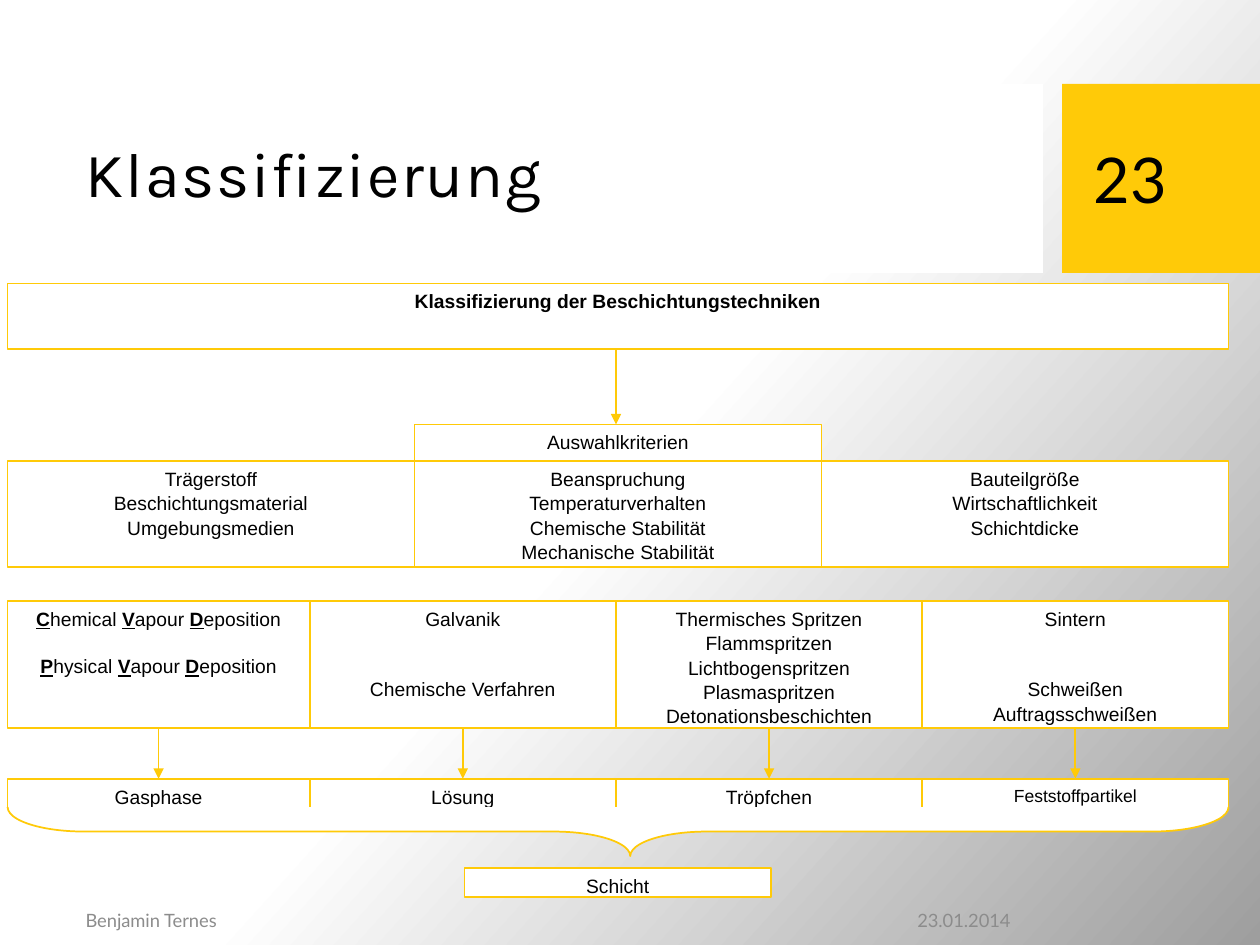
from lxml import etree
from pptx import Presentation
from pptx.dml.color import RGBColor
from pptx.enum import shapes, text
from pptx.oxml import ns
from pptx.util import Pt

YELLOW, WHITE, BLACK, GREY = "FFCA08", "FFFFFF", "000000", "8C8C8C"
LEFT, RIGHT = 4.3, 702
LINE_HEIGHT = 13.2

HEADING = "Klassifizierung der Beschichtungstechniken"
CRITERIA = [
    ["Trägerstoff", "Beschichtungsmaterial", "Umgebungsmedien"],
    ["Beanspruchung", "Temperaturverhalten", "Chemische Stabilität", "Mechanische Stabilität"],
    ["Bauteilgröße", "Wirtschaftlichkeit", "Schichtdicke"],
]
TECHNIQUES = [
    ["*C*hemical *V*apour *D*eposition", "", "*P*hysical *V*apour *D*eposition"],
    ["Galvanik", "", "", "Chemische Verfahren"],
    ["Thermisches Spritzen", "Flammspritzen", "Lichtbogenspritzen", "Plasmaspritzen",
     "Detonationsbeschichten"],
    ["Sintern", "", "", "Schweißen", "Auftragsschweißen"],
]
PHASES = [("Gasphase", 11), ("Lösung", 11), ("Tröpfchen", 11), ("Feststoffpartikel", 10)]
LABELS = [
    ("Benjamin Ternes", (41.8, 511.2, 380.9, 28.8), 10.5, GREY, text.PP_ALIGN.LEFT),
    ("23.01.2014", (422.6, 511.2, 162, 28.8), 10.5, GREY, text.PP_ALIGN.RIGHT),
    ("23", (617.8, 59, 91.4, 85.7), 36, BLACK, text.PP_ALIGN.LEFT),
]


def colour(value):
    """Turn a hex string into a colour."""
    return RGBColor.from_string(value)


def set_font(font, name, size, value):
    """Set typeface, size and colour."""
    font.name, font.size = name, Pt(size)
    font.color.rgb = colour(value)


def add_block(slide, kind, place, fill, line=None):
    """Add a filled shape, outlined if a line colour is given."""
    shape = slide.shapes.add_shape(kind, *map(Pt, place))
    shape.shadow.inherit = False
    shape.fill.solid()
    shape.fill.fore_color.rgb = colour(fill)
    if line:
        shape.line.color.rgb = colour(line)
        shape.line.width = Pt(1)
    else:
        shape.line.fill.background()
    return shape


def add_box(slide, place, lines, size=11, bold=False):
    """Add a box of centred lines; empty lines become space, starred parts are emphasised."""
    frame = add_block(slide, shapes.MSO_SHAPE.RECTANGLE, place, WHITE, YELLOW).text_frame
    frame.word_wrap = True
    frame.vertical_anchor = text.MSO_ANCHOR.TOP
    frame.margin_left = frame.margin_right = frame.margin_top = frame.margin_bottom = Pt(2.9)
    gap = 0
    for index, line in enumerate(lines):
        if not line:
            gap += LINE_HEIGHT
            continue
        paragraph = frame.add_paragraph() if index else frame.paragraphs[0]
        paragraph.alignment = text.PP_ALIGN.CENTER
        paragraph.line_spacing = 1.05
        if gap:
            paragraph.space_before = Pt(gap)
        gap = 0
        set_font(paragraph.font, "Arial", size, BLACK)
        paragraph.font.bold = bold
        for part_index, part in enumerate(line.split("*")):
            if part:
                run = paragraph.add_run()
                run.text = part
                if part_index % 2:
                    run.font.bold = run.font.underline = True


def add_arrow(slide, x, top, bottom):
    """Add a downward arrow."""
    arrow = slide.shapes.add_connector(
        shapes.MSO_CONNECTOR.STRAIGHT, Pt(x), Pt(top), Pt(x), Pt(bottom))
    arrow.line.color.rgb = colour(YELLOW)
    arrow.line.width = Pt(1)
    etree.SubElement(arrow.line._get_or_add_ln(), ns.qn("a:tailEnd"), type="triangle")
    etree.SubElement(arrow._element.spPr, ns.qn("a:effectLst"))


def add_background(slide):
    """Fill the background with a diagonal gradient."""
    fill = slide.background.fill
    fill.gradient()
    fill.gradient_angle = 318
    for stop, position, value in zip(fill.gradient_stops, (0.5, 1), (WHITE, "9E9E9E")):
        stop.position = position
        stop.color.rgb = colour(value)


def add_title(slide):
    """Place the title in front of its panel."""
    title = slide.shapes.title
    slide.shapes._spTree.append(title._element)
    title.left, title.top, title.width, title.height = map(Pt, (41.8, 59, 542.9, 85))
    title.text_frame.vertical_anchor = text.MSO_ANCHOR.MIDDLE
    paragraph = title.text_frame.paragraphs[0]
    paragraph.alignment = text.PP_ALIGN.LEFT
    paragraph.line_spacing = 0.9
    set_font(paragraph.font, "Karla", 36, BLACK)
    run = paragraph.add_run()
    run.text = "Klassifizierung"
    run._r.get_or_add_rPr().set("spc", "100")


def add_label(slide, label, place, size, value, alignment):
    """Add a one-line text box."""
    frame = slide.shapes.add_textbox(*map(Pt, place)).text_frame
    frame.word_wrap = True
    frame.vertical_anchor = text.MSO_ANCHOR.MIDDLE
    paragraph = frame.paragraphs[0]
    paragraph.text = label
    paragraph.alignment = alignment
    set_font(paragraph.font, "Lato", size, value)


def add_diagram(slide):
    """Draw the classification from heading to layer."""
    width = RIGHT - LEFT
    centre = (LEFT + RIGHT) / 2
    third = width / 3
    add_box(slide, (LEFT, 162, width, 37.5), [HEADING], bold=True)
    add_arrow(slide, 352, 199.5, 242.5)
    add_box(slide, (LEFT + third, 242.5, third, 21), ["Auswahlkriterien"])
    for index, lines in enumerate(CRITERIA):
        add_box(slide, (LEFT + index * third, 263.5, third, 60.5), lines)

    column = 175
    edges = [LEFT] + [RIGHT - column * count for count in (3, 2, 1, 0)]
    for left, right, lines, (phase, size) in zip(edges, edges[1:], TECHNIQUES, PHASES):
        add_box(slide, (left, 343.5, right - left, 72.5), lines)
        add_box(slide, (left, 445, right - left, 16.5), [phase], size)
        add_arrow(slide, (left + right) / 2, 416, 445)

    add_box(slide, (265.5, 496, column, 16.5), ["Schicht"])
    depth, middle = 28, 475.2
    brace = add_block(slide, shapes.MSO_SHAPE.RIGHT_BRACE,
                      (centre - depth / 2, middle - width / 2, depth, width), WHITE, YELLOW)
    brace.rotation = 90
    brace.adjustments[0], brace.adjustments[1] = 1.56, 0.49


def main():
    """Build and save the slide."""
    presentation = Presentation()
    presentation.slide_width, presentation.slide_height = Pt(720), Pt(540)
    slide = presentation.slides.add_slide(presentation.slide_layouts[5])
    add_background(slide)
    for left, width, fill in ((0, 596, WHITE), (607, 113, YELLOW)):
        add_block(slide, shapes.MSO_SHAPE.RECTANGLE, (left, 48, width, 108), fill)
    add_diagram(slide)
    add_title(slide)
    for label in LABELS:
        add_label(slide, *label)
    presentation.save("out.pptx")


if __name__ == "__main__":
    main()
